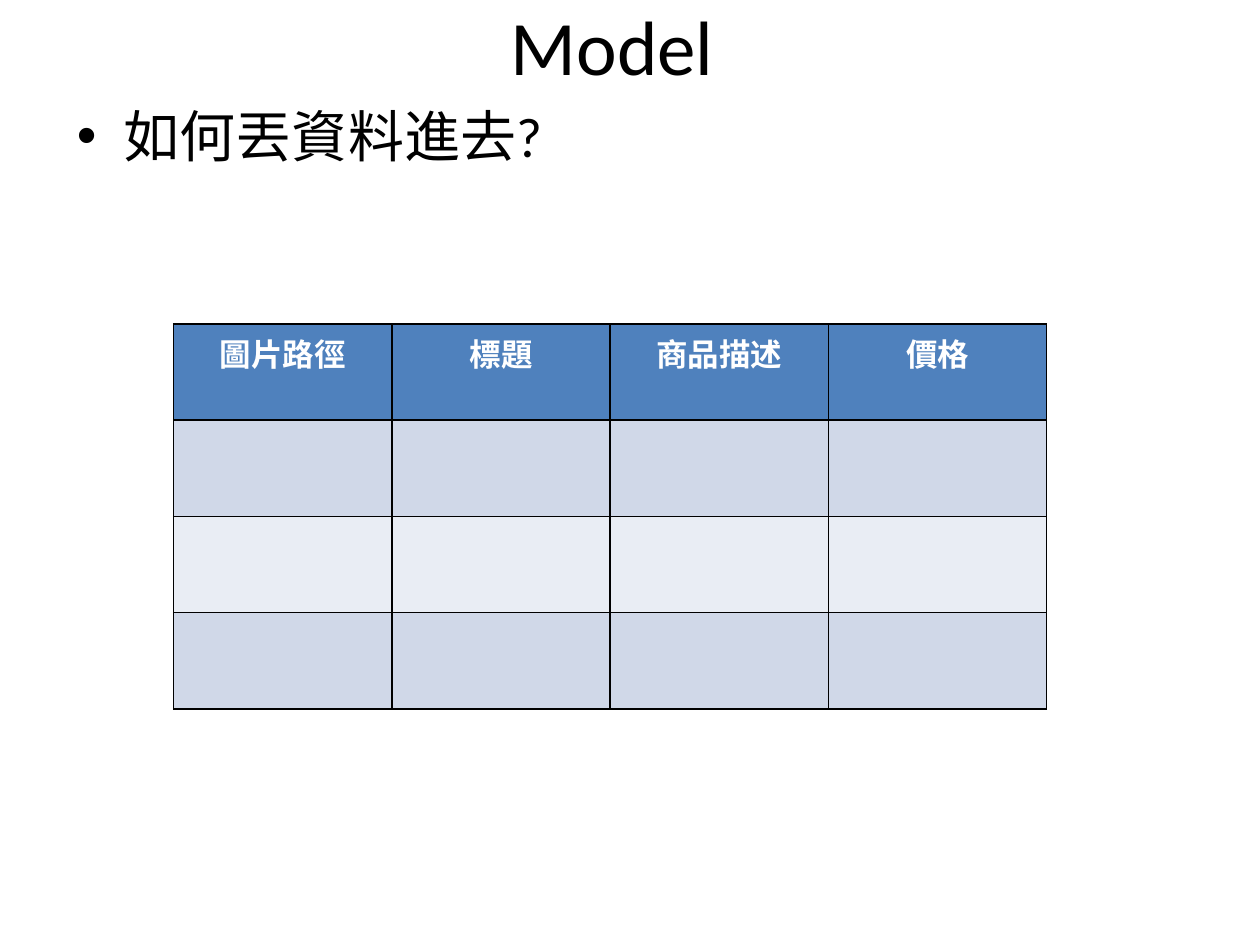
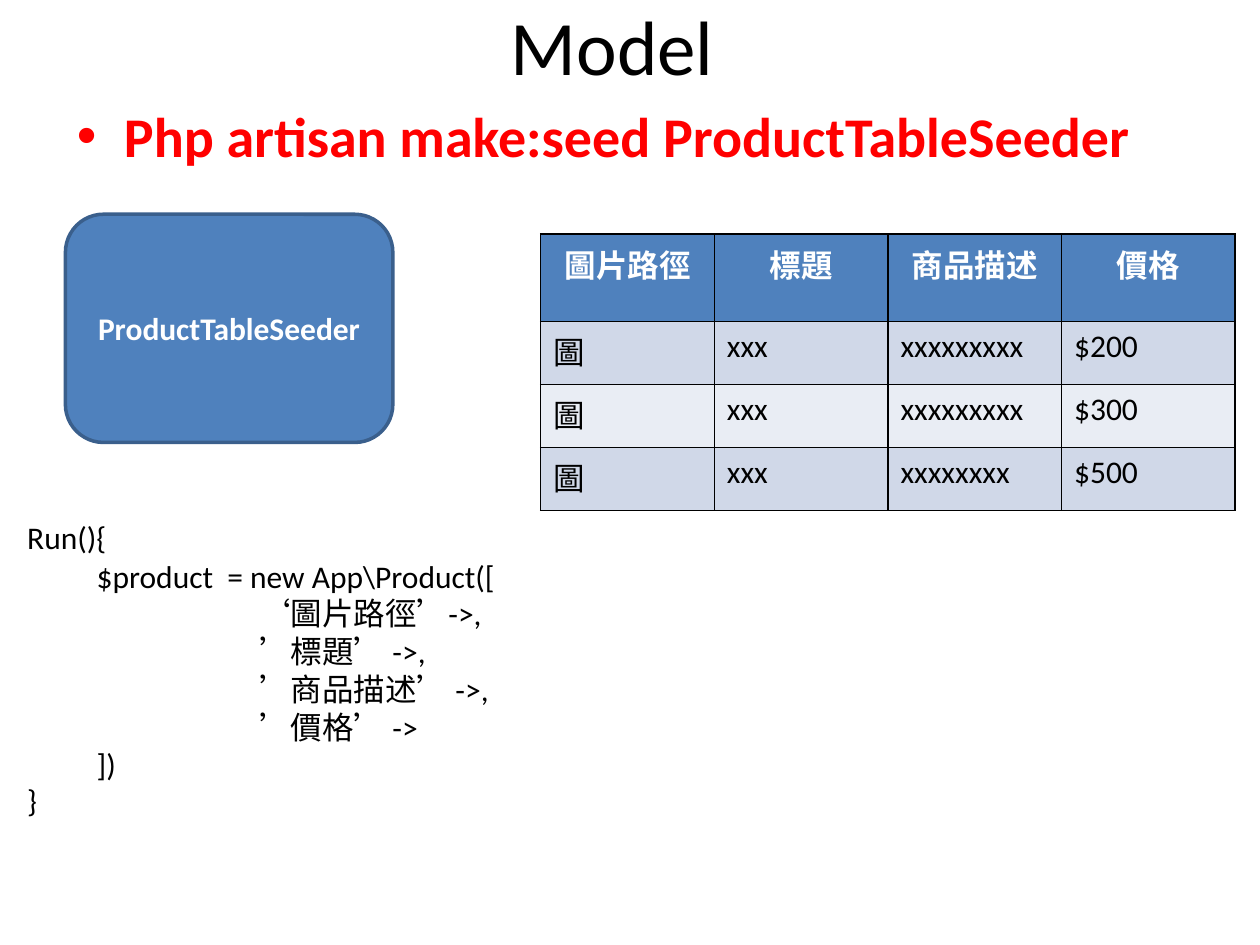
from lxml import etree
from pptx import Presentation
from pptx import util as u
from pptx.dml.color import RGBColor
from pptx.enum import shapes, text
from pptx.oxml import ns

COLORS = {
    "ink": "000000",
    "white": "FFFFFF",
    "command": "FF0000",
    "accent": "4F81BD",
    "accent_edge": "3A5F8C",
    "band_dark": "D0D8E8",
    "band_light": "E9EDF4",
}
FONT = "Calibri"
BLANK_LAYOUT = 6
CODE_LINE = 21.5  # points from one line of code to the next
PRODUCT_FIELDS = ["圖片路徑", "標題", "商品描述", "價格"]


def rgb(name):
    return RGBColor.from_string(COLORS[name])


def add_xml(parent, tag, **attributes):
    return etree.SubElement(parent, ns.qn(tag), attributes)


def write(frame, lines, size=18, color="ink", bold=False,
          align=text.PP_ALIGN.LEFT, indent=0, gap=0):
    """Fill a frame with one paragraph per line; gap precedes the last one."""
    for number, line in enumerate(lines):
        paragraph = frame.paragraphs[0] if number == 0 else frame.add_paragraph()
        paragraph.alignment = align
        if indent:
            paragraph._p.get_or_add_pPr().set("marL", str(u.Cm(indent)))
        if gap and number == len(lines) - 1:
            paragraph.space_before = u.Pt(gap)
        run = paragraph.add_run()
        run.text = line
        run.font.name = FONT
        run.font.size = u.Pt(size)
        run.font.bold = bold
        run.font.color.rgb = rgb(color)


def outline_cell(cell):
    properties = cell._tc.get_or_add_tcPr()
    for position, side in enumerate(("a:lnL", "a:lnR", "a:lnT", "a:lnB")):
        border = add_xml(properties, side, w=str(u.Pt(1)))
        add_xml(add_xml(border, "a:solidFill"), "a:srgbClr", val=COLORS["ink"])
        properties.insert(position, border)


class Deck:
    def __init__(self):
        self.presentation = Presentation()
        self.presentation.slide_width = u.Cm(25.4)
        self.presentation.slide_height = u.Cm(19.05)
        self.slide = None

    def new_slide(self, title):
        layout = self.presentation.slide_layouts[BLANK_LAYOUT]
        self.slide = self.presentation.slides.add_slide(layout)
        self.text_box([title], 1.09, -0.69, 22.86, 3.18, middle=True,
                      size=44, align=text.PP_ALIGN.CENTER)

    def text_box(self, lines, left, top, width, height, middle=False, **style):
        box = self.slide.shapes.add_textbox(*map(u.Cm, (left, top, width, height)))
        frame = box.text_frame
        frame.word_wrap = True
        if middle:
            frame.vertical_anchor = text.MSO_ANCHOR.MIDDLE
        write(frame, lines, **style)
        return frame

    def bullet(self, line, **style):
        frame = self.text_box([line], 1.3, 1.93, 22.86, 3.28, size=32,
                              indent=0.95, gap=6.4, **style)
        properties = frame.paragraphs[0]._p.get_or_add_pPr()
        properties.set("indent", str(-u.Cm(0.95)))
        add_xml(properties, "a:buFont", typeface="Arial")
        add_xml(properties, "a:buChar", char="•")

    def rounded_box(self, label, left, top, width, height):
        box = self.slide.shapes.add_shape(
            shapes.MSO_SHAPE.ROUNDED_RECTANGLE,
            *map(u.Cm, (left, top, width, height)))
        box.shadow.inherit = False
        box.fill.solid()
        box.fill.fore_color.rgb = rgb("accent")
        box.line.color.rgb = rgb("accent_edge")
        box.line.width = u.Pt(2)
        box.text_frame.word_wrap = True
        box.text_frame.vertical_anchor = text.MSO_ANCHOR.MIDDLE
        write(box.text_frame, [label], color="white", bold=True,
              align=text.PP_ALIGN.CENTER)

    def product_table(self, products, left, top, column_width,
                      header_height, row_height):
        rows = [PRODUCT_FIELDS] + products
        columns = len(PRODUCT_FIELDS)
        table = self.slide.shapes.add_table(
            len(rows), columns, u.Cm(left), u.Cm(top),
            u.Cm(column_width * columns),
            u.Cm(header_height + row_height * len(products))).table
        for column in table.columns:
            column.width = u.Cm(column_width)
        for r, values in enumerate(rows):
            table.rows[r].height = u.Cm(row_height if r else header_height)
            if r == 0:
                fill = "accent"
                style = dict(color="white", bold=True, align=text.PP_ALIGN.CENTER)
            else:
                fill = "band_dark" if r % 2 else "band_light"
                style = {}
            for c, value in enumerate(values):
                cell = table.cell(r, c)
                cell.fill.solid()
                cell.fill.fore_color.rgb = rgb(fill)
                outline_cell(cell)
                if value:
                    write(cell.text_frame, [value], **style)


def main():
    deck = Deck()

    deck.new_slide("Model ")
    deck.bullet("如何丟資料進去?")
    deck.product_table([[""] * 4] * 3, 3.5, 6.53, 4.4, 1.94, 1.94)

    deck.new_slide("Model ")
    deck.bullet("Php artisan make:seed ProductTableSeeder",
                color="command", bold=True)
    deck.rounded_box("ProductTableSeeder", 1.32, 4.32, 6.6, 4.6)
    deck.text_box(["Run(){", "}"], 0.3, 10.31, 4.8, 6.4, gap=6 * CODE_LINE)
    deck.text_box(["$product  = new App\\Product([", "])"],
                  1.7, 11.1, 10, 4.88, gap=4 * CODE_LINE)
    deck.text_box(["‘圖片路徑’->,", "’標題’ ->,", "’商品描述’ ->,", "’價格’ ->"],
                  3.71, 11.86, 12.7, 3.33, indent=1.27)
    products = [
        ["圖", "xxx", "xxxxxxxxx", "$200"],
        ["圖", "xxx", "xxxxxxxxx", "$300"],
        ["圖", "xxx", "xxxxxxxx", "$500"],
    ]
    deck.product_table(products, 10.9, 4.72, 3.5, 1.76, 1.27)

    deck.presentation.save("out.pptx")


if __name__ == "__main__":
    main()
